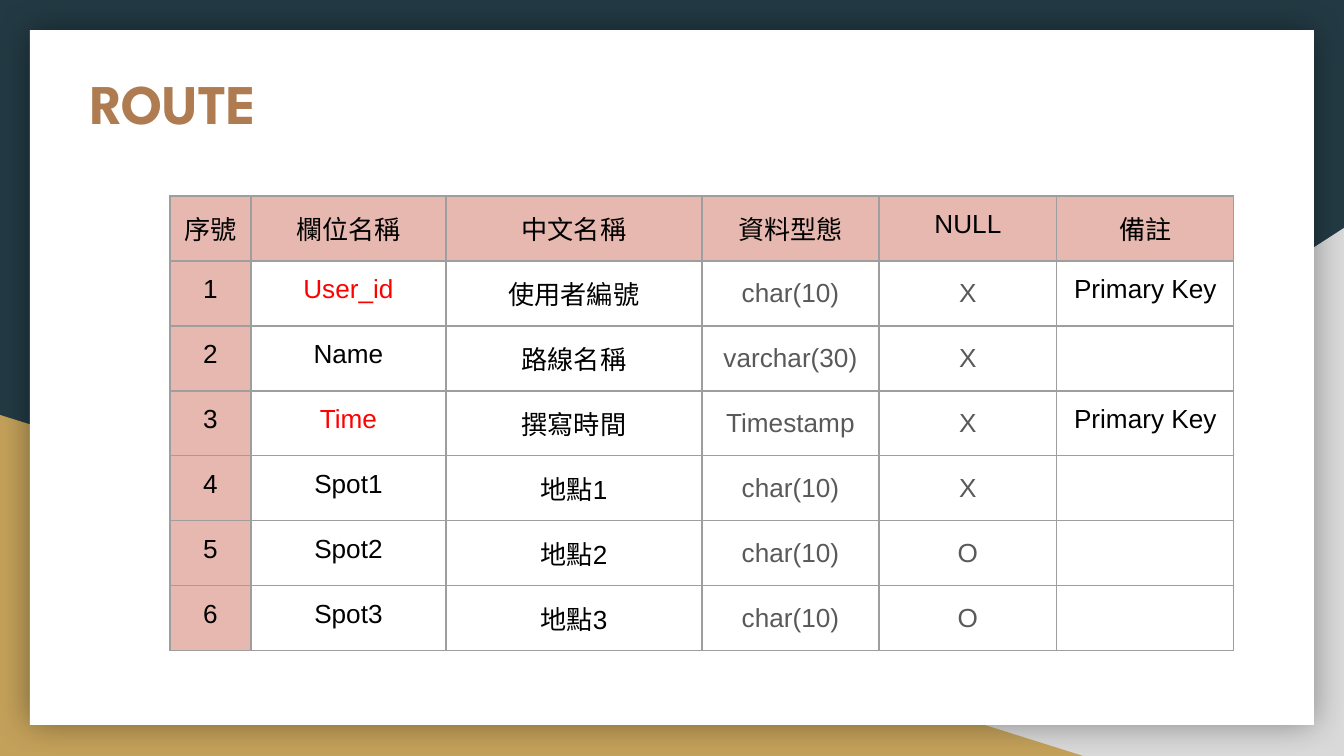
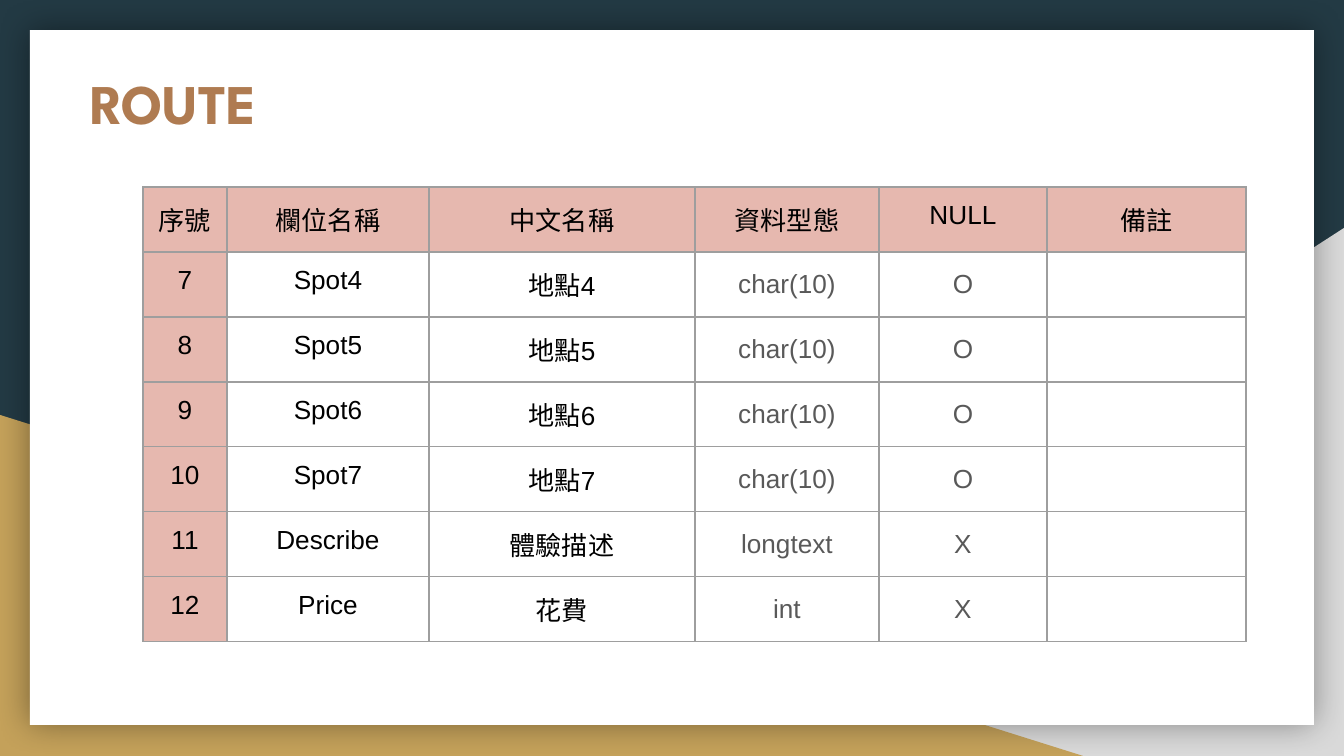
import pptx
import pptx.dml.color
import pptx.enum.shapes
import pptx.enum.text
import pptx.oxml
import pptx.oxml.ns
import pptx.util

PX = pptx.util.Inches(10) / 1344
SLIDE_SIZE = (1344, 756)
COLORS = {
    "navy": "233A44",
    "grey": "D9D9D9",
    "gold": "C4A15A",
    "card": "FFFFFF",
    "title": "AF7B51",
    "header": "E6B8AF",
    "border": "9E9E9E",
    "text": "000000",
    "muted": "595959",
    "key": "FF0000",
}
TITLE_FONT = "League Spartan"
TABLE_FONT = "Arial"
ROW_HEIGHT = 65
HEADERS = ["序號", "欄位名稱", "中文名稱", "資料型態", "NULL", "備註"]
TYPE_COLUMNS = (3, 4)
KEY_FIELDS = ("User_id", "Time")

TABLES = [
    {
        "left": 170,
        "top": 196,
        "widths": [81, 195, 256, 177, 178, 177],
        "rows": [
            ["1", "User_id", "使用者編號", "char(10)", "X", "Primary Key"],
            ["2", "Name", "路線名稱", "varchar(30)", "X", ""],
            ["3", "Time", "撰寫時間", "Timestamp", "X", "Primary Key"],
            ["4", "Spot1", "地點1", "char(10)", "X", ""],
            ["5", "Spot2", "地點2", "char(10)", "O", ""],
            ["6", "Spot3", "地點3", "char(10)", "O", ""],
        ],
    },
    {
        "left": 143,
        "top": 187,
        "widths": [84, 202, 266, 184, 168, 199],
        "rows": [
            ["7", "Spot4", "地點4", "char(10)", "O", ""],
            ["8", "Spot5", "地點5", "char(10)", "O", ""],
            ["9", "Spot6", "地點6", "char(10)", "O", ""],
            ["10", "Spot7", "地點7", "char(10)", "O", ""],
            ["11", "Describe", "體驗描述", "longtext", "X", ""],
            ["12", "Price", "花費", "int", "X", ""],
        ],
    },
]


def emu(*lengths):
    return [round(length * PX) for length in lengths]


def rgb(name):
    return pptx.dml.color.RGBColor.from_string(COLORS[name])


def set_font(paragraph, name, size, color, bold=False):
    font = paragraph.font
    font.name = name
    font.size = pptx.util.Pt(size)
    font.bold = bold
    font.color.rgb = rgb(color)


def set_margins(target):
    margin = pptx.util.Inches(0.1)
    target.margin_left = target.margin_right = margin
    target.margin_top = target.margin_bottom = margin


def add_panel(slide, kind, box, color):
    shape = slide.shapes.add_shape(kind, *emu(*box))
    shape.shadow.inherit = False
    shape.fill.solid()
    shape.fill.fore_color.rgb = rgb(color)
    shape.line.fill.background()
    return shape


def add_glow(shape):
    effects = shape._element.spPr.find(pptx.oxml.ns.qn("a:effectLst"))
    effects.append(pptx.oxml.parse_xml(
        f'<a:outerShdw {pptx.oxml.ns.nsdecls("a")} blurRad="{pptx.util.Pt(18)}" '
        'dist="0" dir="0" algn="ctr" rotWithShape="0">'
        '<a:srgbClr val="000000"><a:alpha val="40000"/></a:srgbClr></a:outerShdw>'))


def add_backdrop(slide):
    kinds = pptx.enum.shapes.MSO_SHAPE
    slide.background.fill.solid()
    slide.background.fill.fore_color.rgb = rgb("navy")
    corner = add_panel(slide, kinds.RIGHT_TRIANGLE, (527, 228, 817, 528), "grey")
    corner._element.spPr.xfrm.set("flipH", "1")
    add_panel(slide, kinds.RIGHT_TRIANGLE, (0, 415, 1083, 341), "gold")
    add_glow(add_panel(slide, kinds.RECTANGLE, (30, 30, 1284, 695), "card"))


def add_title(slide, text):
    frame = slide.shapes.add_textbox(*emu(77, 55, 1103, 140)).text_frame
    frame.word_wrap = True
    set_margins(frame)
    paragraph = frame.paragraphs[0]
    paragraph.text = text
    set_font(paragraph, TITLE_FONT, 30, "title", bold=True)


def set_borders(cell):
    properties = cell._tc.get_or_add_tcPr()
    for index, side in enumerate(("lnL", "lnR", "lnT", "lnB")):
        properties.insert(index, pptx.oxml.parse_xml(
            f'<a:{side} {pptx.oxml.ns.nsdecls("a")} w="{pptx.util.Pt(0.75)}">'
            f'<a:solidFill><a:srgbClr val="{COLORS["border"]}"/></a:solidFill></a:{side}>'))


def fill_cell(cell, text, shaded, typed):
    set_margins(cell)
    if shaded:
        cell.fill.solid()
        cell.fill.fore_color.rgb = rgb("header")
    else:
        cell.fill.background()
    set_borders(cell)
    paragraph = cell.text_frame.paragraphs[0]
    paragraph.text = text
    paragraph.alignment = pptx.enum.text.PP_ALIGN.CENTER
    color = "key" if text in KEY_FIELDS else "text"
    if typed:
        color = "muted"
        paragraph.line_spacing = 1.15
        paragraph.space_after = pptx.util.Pt(12)
    set_font(paragraph, TABLE_FONT, 14, color)


def add_field_table(slide, left, top, widths, rows):
    lines = [HEADERS] + rows
    box = emu(left, top, sum(widths), ROW_HEIGHT * len(lines))
    table = slide.shapes.add_table(len(lines), len(widths), *box).table
    table.first_row = table.horz_banding = False
    for column, width in zip(table.columns, emu(*widths)):
        column.width = width
    for row_index, line in enumerate(lines):
        table.rows[row_index].height = emu(ROW_HEIGHT)[0]
        for column_index, text in enumerate(line):
            shaded = row_index == 0 or column_index == 0
            typed = row_index > 0 and column_index in TYPE_COLUMNS
            fill_cell(table.cell(row_index, column_index), text, shaded, typed)


def main():
    presentation = pptx.Presentation()
    presentation.slide_width, presentation.slide_height = emu(*SLIDE_SIZE)
    for fields in TABLES:
        slide = presentation.slides.add_slide(presentation.slide_layouts[6])
        add_backdrop(slide)
        add_title(slide, "ROUTE")
        add_field_table(slide, **fields)
    presentation.save("out.pptx")


if __name__ == "__main__":
    main()
